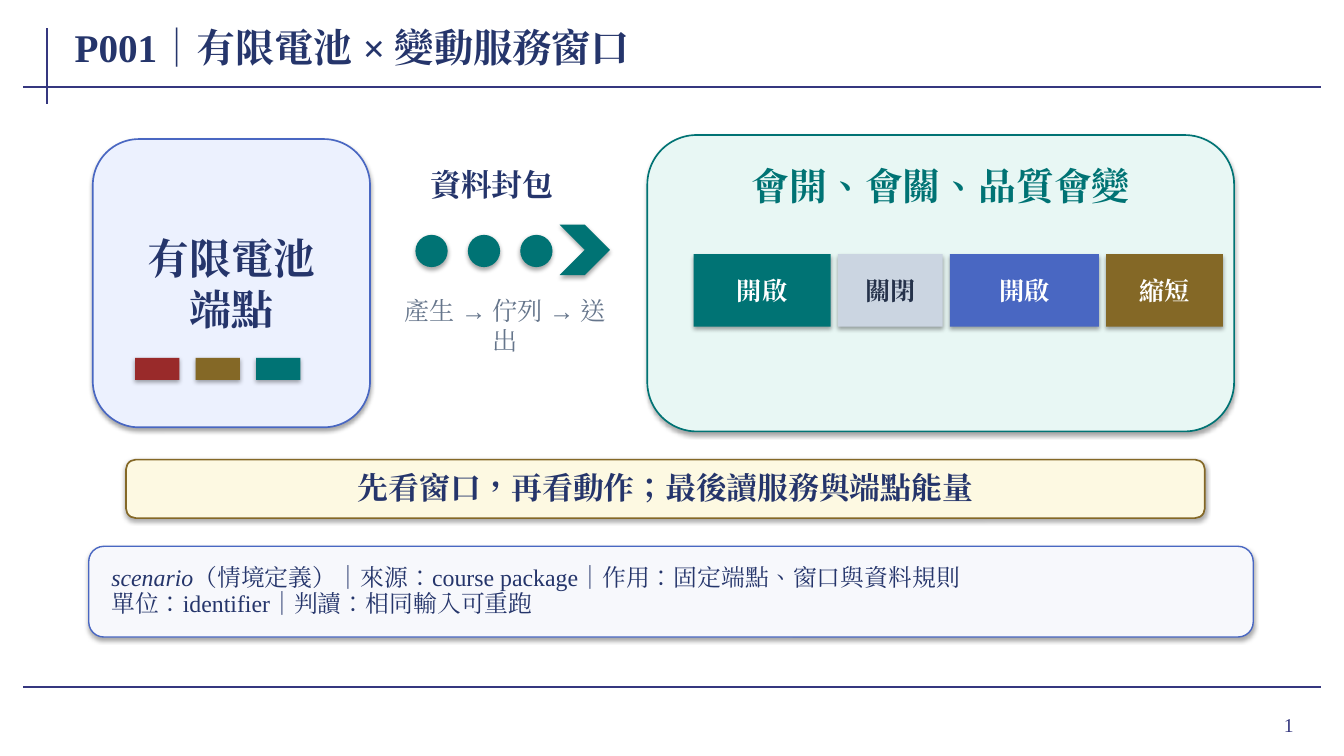
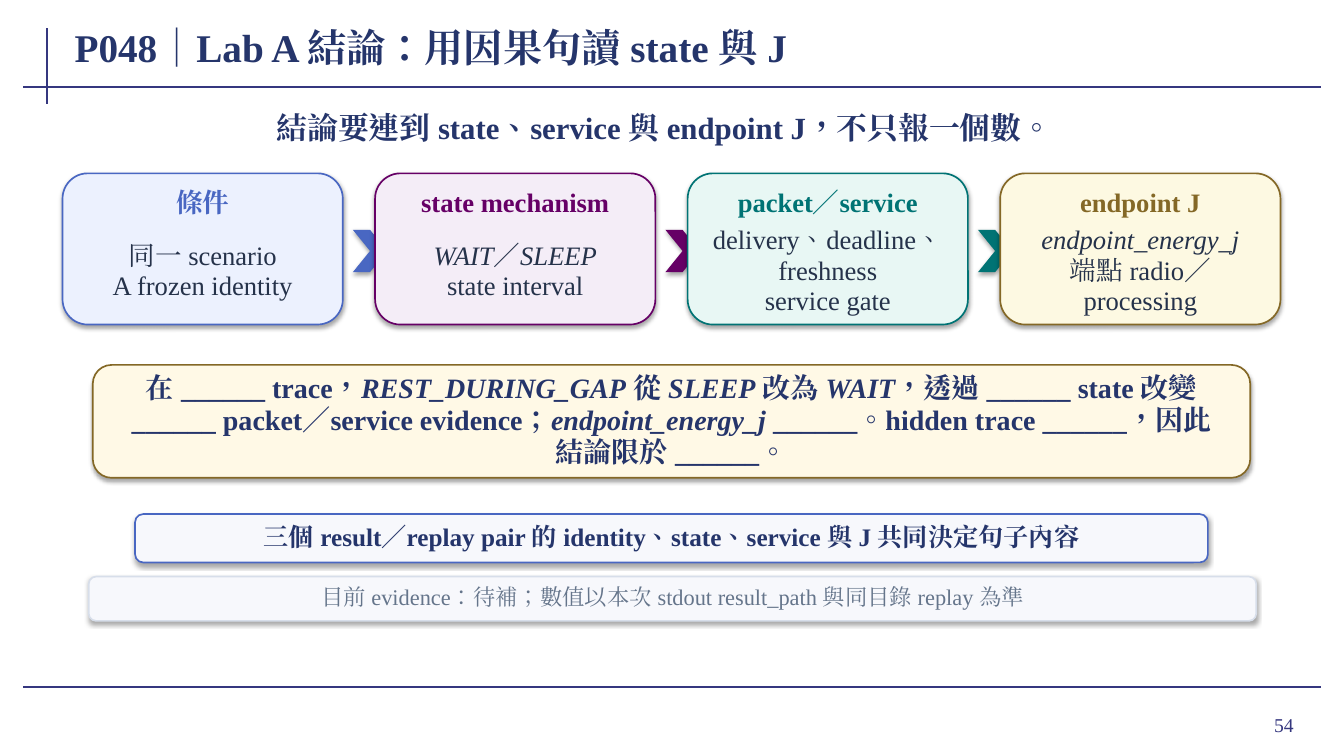
from lxml import etree
from pptx import Presentation
from pptx.dml.color import RGBColor
from pptx.enum.lang import MSO_LANGUAGE_ID as LANG
from pptx.enum.shapes import MSO_CONNECTOR, MSO_SHAPE as SHAPE
from pptx.enum.text import MSO_ANCHOR, MSO_AUTO_SIZE as FIT, PP_ALIGN as ALIGN
from pptx.oxml.ns import qn
from pptx.util import Emu, Pt

EMU_PER_PX = 9144
FONT = "Times New Roman"
COLORS = {
    "rule": "35377F", "navy": "25356B", "ink": "25324A", "slate": "65758B",
    "blue": "4967C2", "teal": "007374", "gold": "846826", "purple": "660066",
    "red": "992A2A", "grey": "CBD5E1", "edge": "D7DEEA", "white": "FFFFFF",
    "pale_blue": "ECF1FE", "pale_teal": "E8F7F4", "pale_gold": "FDF9E2",
    "pale_purple": "F4EDF7", "cream": "FFF9E6", "mist": "F7F8FC",
}
RULES = [(47, 28, 47, 103), (23, 86, 1310, 86), (23, 682, 1310, 682)]
TITLE_BOX = (72, 20, 1035, 53)
NUMBER_BOX = (1196, 693, 97, 52)


def px(*lengths):
    """Turn px lengths into EMU."""
    return [Emu(n * EMU_PER_PX) for n in lengths]


def rgb(name):
    """Look up a named colour."""
    return RGBColor.from_string(COLORS[name])


def format_run(r, color, **font):
    """Apply colour, font values and language to a run."""
    for key, value in {"name": FONT, "language_id": LANG.TRADITIONAL_CHINESE, **font}.items():
        setattr(r.font, key, value)
    r.font.color.rgb = rgb(color)
    etree.SubElement(r.font._element, qn("a:ea"), typeface=FONT)


def write(tf, text, size, color="navy", bold=False, align=ALIGN.CENTER, spacing=None, inset=(2, 1)):
    """Fill a text frame, one paragraph a line, with *marked* words in italics."""
    side, top = px(*inset)
    frame = {"word_wrap": True, "vertical_anchor": MSO_ANCHOR.MIDDLE, "margin_left": side,
             "margin_right": side, "margin_top": top, "margin_bottom": top}
    for key, value in frame.items():
        setattr(tf, key, value)
    for i, line in enumerate(text.split("\n")):
        p = tf.add_paragraph() if i else tf.paragraphs[0]
        p.alignment, p.line_spacing = align, spacing
        for j, part in enumerate(line.split("*")):
            if part:
                r = p.add_run()
                r.text = part
                format_run(r, color, size=Pt(size), bold=bold, italic=j % 2 == 1)


def add_text(s, box, text, size, **style):
    """Add a text box that grows with its text."""
    tf = s.shapes.add_textbox(*px(*box)).text_frame
    write(tf, text, size, **style)
    tf.auto_size = FIT.SHAPE_TO_FIT_TEXT


def add_block(s, kind, box, fill, line=None, width=1.2):
    """Add a filled shape with the theme's soft shadow."""
    sp = s.shapes.add_shape(kind, *px(*box))
    sp.fill.solid()
    sp.fill.fore_color.rgb = rgb(fill)
    if line:
        sp.line.color.rgb = rgb(line)
        sp.line.width = Pt(width)
    else:
        sp.line.fill.background()
    return sp.text_frame


def dress_layout(layout, s):
    """Place the title and the rules on the layout."""
    for ph in list(layout.placeholders)[1:]:
        ph._element.getparent().remove(ph._element)
    title = layout.placeholders[0]
    title.left, title.top, title.width, title.height = px(*TITLE_BOX)
    rules = [s.shapes.add_connector(MSO_CONNECTOR.STRAIGHT, *px(*ends)) for ends in RULES]
    for rule in rules:
        rule.line.color.rgb = rgb("rule")
        rule.line.width = Pt(1.5)
        etree.SubElement(rule._element.spPr, qn("a:effectLst"))
        layout.shapes._spTree.append(rule._element)


def add_heading(s, title, number):
    """Write the slide title and the page number."""
    tf = s.shapes.title.text_frame
    write(tf, title, 28, bold=True, align=ALIGN.LEFT, inset=(2, 0))
    tf.auto_size = FIT.NONE
    number_tf = s.shapes.add_textbox(*px(*NUMBER_BOX)).text_frame
    write(number_tf, number, 14, color="rule", align=ALIGN.RIGHT, inset=(10, 5))


def build_window_slide(s):
    """Draw the battery endpoint, the packets and the service windows."""
    add_heading(s, "P001｜有限電池 × 變動服務窗口", "1")
    tf = add_block(s, SHAPE.ROUNDED_RECTANGLE, (92, 138, 275, 286), "pale_blue", "blue")
    write(tf, "有限電池\n端點", 30, bold=True, inset=(18, 18))
    for i, color in enumerate(["red", "gold", "teal"]):
        add_block(s, SHAPE.RECTANGLE, (134 + 60 * i, 355, 44, 22), color)

    add_text(s, (403, 162, 170, 42), "資料封包", 22, bold=True)
    for i in range(3):
        add_block(s, SHAPE.OVAL, (412 + 52 * i, 233, 32, 32), "teal")
    add_block(s, SHAPE.CHEVRON, (555, 223, 50, 50), "teal")
    add_text(s, (395, 294, 212, 58), "產生 → 佇列 → 送出", 18, color="slate")

    add_block(s, SHAPE.ROUNDED_RECTANGLE, (642, 134, 582, 294), "pale_teal", "teal")
    add_text(s, (678, 158, 510, 52), "會開、會關、品質會變", 27, color="teal", bold=True)
    windows = [("開啟", 136, "teal", "white"), ("關閉", 104, "grey", "ink"),
               ("開啟", 148, "blue", "white"), ("縮短", 116, "gold", "white")]
    left = 688
    for label, width, fill, color in windows:
        tf = add_block(s, SHAPE.RECTANGLE, (left, 252, width, 72), fill)
        write(tf, label, 18, color=color, bold=True)
        left += width + 7

    tf = add_block(s, SHAPE.ROUNDED_RECTANGLE, (125, 456, 1070, 58), "pale_gold", "gold")
    write(tf, "先看窗口，再看動作；最後讀服務與端點能量", 22, bold=True, spacing=0.95, inset=(12, 5))
    tf = add_block(s, SHAPE.ROUNDED_RECTANGLE, (88, 542, 1155, 90), "mist", "blue", 1)
    write(tf, "*scenario*（情境定義）｜來源：course package｜作用：固定端點、窗口與資料規則\n"
          "單位：identifier｜判讀：相同輸入可重跑", 17, align=ALIGN.LEFT, spacing=0.92, inset=(18, 5))


def add_card(s, left, head, body, color, fill):
    """Add one step of the causal chain."""
    add_block(s, SHAPE.ROUNDED_RECTANGLE, (left, 172, 278, 150), fill, color)
    add_text(s, (left + 16, 184, 246, 36), head, 19, color=color, bold=True,
             spacing=0.92, inset=(2, 0))
    add_text(s, (left + 18, 228, 242, 82), body, 19, color="ink", spacing=0.96, inset=(3, 2))


def build_conclusion_slide(s):
    """Draw the causal chain, the sentence frame and the evidence notes."""
    add_heading(s, "P048｜Lab A 結論：用因果句讀 state 與 J", "54")
    add_text(s, (96, 105, 1126, 42), "結論要連到 state、service 與 endpoint J，不只報一個數。",
             22, bold=True, inset=(2, 0))
    cards = [
        ("條件", "同一 scenario\nA frozen identity", "blue", "pale_blue"),
        ("state mechanism", "*WAIT*／*SLEEP*\nstate interval", "purple", "pale_purple"),
        ("packet／service", "delivery、deadline、freshness\nservice gate", "teal", "pale_teal"),
        ("endpoint J", "*endpoint_energy_j*\n端點 radio／processing", "gold", "pale_gold"),
    ]
    for i, (head, body, color, fill) in enumerate(cards):
        left = 62 + 310 * i
        add_card(s, left, head, body, color, fill)
        if i < len(cards) - 1:
            add_block(s, SHAPE.CHEVRON, (left + 288, 228, 34, 42), color)

    add_block(s, SHAPE.ROUNDED_RECTANGLE, (92, 362, 1148, 112), "cream", "gold")
    add_text(s, (114, 382, 1104, 72),
             "在 ______ trace，*REST_DURING_GAP* 從 *SLEEP* 改為 *WAIT*，透過 ______ state 改變 "
             "______ packet／service evidence；*endpoint_energy_j* ______。hidden trace ______，"
             "因此結論限於 ______。", 20, bold=True, spacing=0.95, inset=(5, 1))
    tf = add_block(s, SHAPE.ROUNDED_RECTANGLE, (134, 510, 1064, 48), "mist", "blue")
    write(tf, "三個 result／replay pair 的 identity、state、service 與 J 共同決定句子內容",
          18, bold=True, spacing=0.92, inset=(3, 1))
    tf = add_block(s, SHAPE.ROUNDED_RECTANGLE, (88, 572, 1158, 44), "mist", "edge")
    write(tf, "目前 evidence：待補；數值以本次 stdout result_path 與同目錄 replay 為準",
          16, color="slate", spacing=0.9, inset=(3, 1))


def main():
    """Build and save the presentation."""
    prs = Presentation()
    prs.slide_width, prs.slide_height = px(1333, 750)
    layout = prs.slide_layouts[5]
    window, conclusion = [prs.slides.add_slide(layout) for _ in range(2)]
    dress_layout(layout, window)
    build_window_slide(window)
    build_conclusion_slide(conclusion)
    prs.save("out.pptx")


if __name__ == "__main__":
    main()
